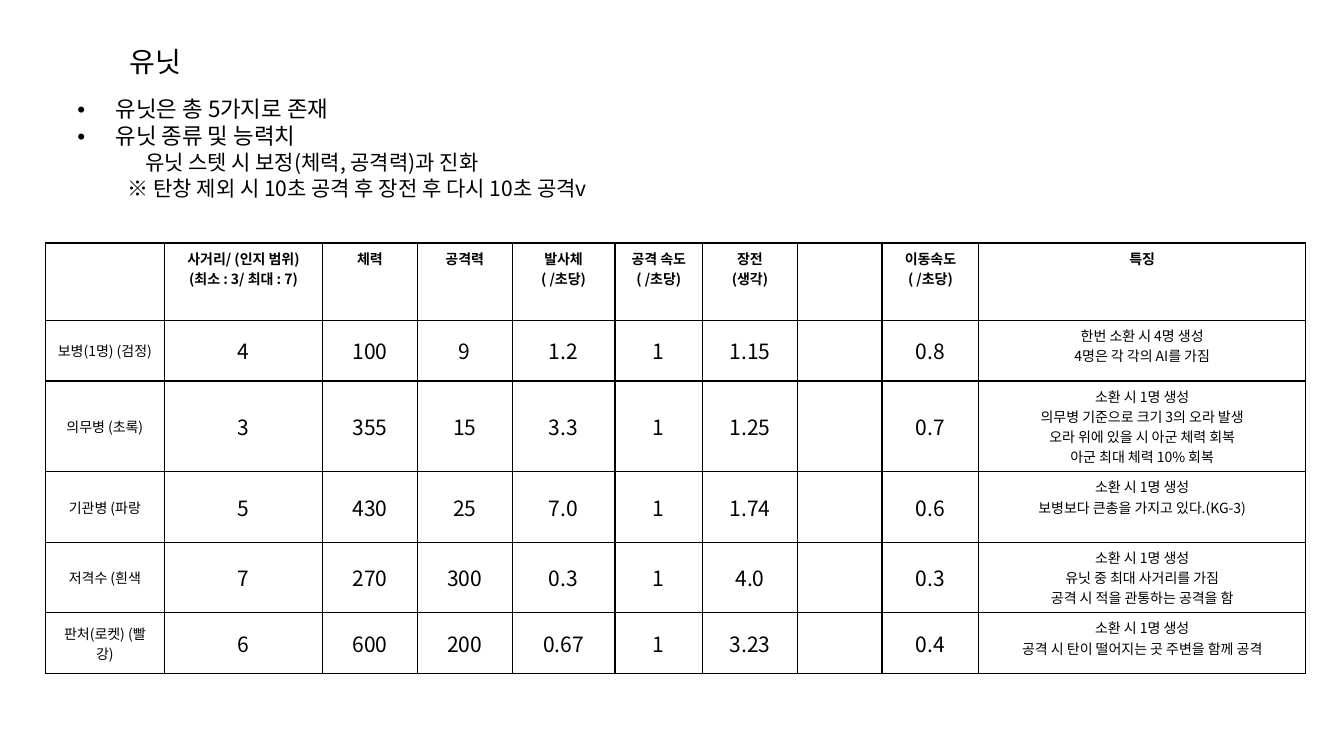
import pptx
import pptx.util
import pptx.dml.color
import pptx.enum.text
import pptx.oxml.ns
from lxml import etree

Inches = pptx.util.Inches
Pt = pptx.util.Pt
qn = pptx.oxml.ns.qn
ALIGN = pptx.enum.text.PP_ALIGN
ANCHOR = pptx.enum.text.MSO_ANCHOR

BLACK = pptx.dml.color.RGBColor(0x00, 0x00, 0x00)
WHITE = pptx.dml.color.RGBColor(0xFF, 0xFF, 0xFF)
FONT = "Noto Sans CJK KR"

# Text, size, left margin, first-line indent, bullet
RULES = [
    ("유닛은 총 5가지로 존재", 16, 0.38, -0.38, True),
    ("유닛 종류 및 능력치", 16, 0.38, -0.38, True),
    ("유닛 스텟 시 보정(체력, 공격력)과 진화", 15, 0.67, 0, False),
    ("※ 탄창 제외 시 10초 공격 후 장전 후 다시 10초 공격v", 15, 0.5, 0, False),
]

COLUMN_WIDTHS = [1.18, 1.57, 0.94, 0.94, 1.02, 0.87, 0.94, 0.84, 0.96, 3.24]
ROW_HEIGHTS = [0.77, 0.6, 0.9, 0.7, 0.7, 0.6]
HEADINGS = ["", "사거리/ (인지 범위)\n(최소 : 3/ 최대 : 7)", "체력", "공격력",
            "발사체\n( /초당)", "공격 속도\n( /초당)", "장전\n(생각)", "",
            "이동속도\n( /초당)", "특징"]
UNITS = [
    ["보병(1명) (검정)", "4", "100", "9", "1.2", "1", "1.15", "", "0.8",
     "한번 소환 시 4명 생성\n4명은 각 각의 AI를 가짐"],
    ["의무병 (초록)", "3", "355", "15", "3.3", "1", "1.25", "", "0.7",
     "소환 시 1명 생성\n의무병 기준으로 크기 3의 오라 발생\n"
     "오라 위에 있을 시 아군 체력 회복\n아군 최대 체력 10% 회복"],
    ["기관병 (파랑", "5", "430", "25", "7.0", "1", "1.74", "", "0.6",
     "소환 시 1명 생성\n보병보다 큰총을 가지고 있다.(KG-3)"],
    ["저격수 (흰색", "7", "270", "300", "0.3", "1", "4.0", "", "0.3",
     "소환 시 1명 생성\n유닛 중 최대 사거리를 가짐\n공격 시 적을 관통하는 공격을 함"],
    ["판처(로켓) (빨강)", "6", "600", "200", "0.67", "1", "3.23", "", "0.4",
     "소환 시 1명 생성\n공격 시 탄이 떨어지는 곳 주변을 함께 공격"],
]


def add_span(para, text, size, bold=False):
    span = para.add_run()
    span.text = text
    span.font.size = Pt(size)
    span.font.bold = bold
    span.font.color.rgb = BLACK
    span.font.name = FONT
    # East Asian typeface
    etree.SubElement(span.font._element, qn("a:ea"), typeface=FONT)


def next_para(frame, index):
    return frame.paragraphs[0] if index == 0 else frame.add_paragraph()


def add_box(page, left, top, width, height):
    box = page.shapes.add_textbox(Inches(left), Inches(top), Inches(width), Inches(height))
    box.text_frame.word_wrap = True
    return box.text_frame


def add_title(page):
    frame = add_box(page, 0.67, 0.3, 1.75, 0.62)
    frame.vertical_anchor = ANCHOR.MIDDLE
    para = frame.paragraphs[0]
    para.alignment = ALIGN.CENTER
    add_span(para, "유닛", 20)


def add_rules(page):
    frame = add_box(page, 0.67, 0.93, 12, 5.77)
    for index, (text, size, margin, indent, bullet) in enumerate(RULES):
        para = next_para(frame, index)
        para.line_spacing = 0.9
        para.space_before = Pt(2)
        properties = para._p.get_or_add_pPr()
        properties.set("marL", str(Inches(margin)))
        properties.set("indent", str(Inches(indent)))
        if bullet:
            etree.SubElement(properties, qn("a:buFont"), typeface="Arial")
            etree.SubElement(properties, qn("a:buChar"), char="•")
        add_span(para, text, size)


def add_borders(cell):
    properties = cell._tc.get_or_add_tcPr()
    for side in ("lnL", "lnR", "lnT", "lnB"):
        line = etree.SubElement(properties, qn("a:" + side), w=str(Pt(1)))
        fill = etree.SubElement(line, qn("a:solidFill"))
        etree.SubElement(fill, qn("a:srgbClr"), val=str(BLACK))


def fill_cell(cell, text, size, bold, anchor):
    add_borders(cell)
    cell.fill.solid()
    cell.fill.fore_color.rgb = WHITE
    cell.vertical_anchor = anchor
    if not text:
        return
    for index, line in enumerate(text.split("\n")):
        para = next_para(cell.text_frame, index)
        para.alignment = ALIGN.CENTER
        add_span(para, line, size, bold)


def add_unit_table(page):
    rows = [HEADINGS] + UNITS
    last = len(HEADINGS) - 1
    table = page.shapes.add_table(
        len(rows), len(HEADINGS), Inches(0.45), Inches(2.41),
        Inches(sum(COLUMN_WIDTHS)), Inches(sum(ROW_HEIGHTS))).table
    for column, width in zip(table.columns, COLUMN_WIDTHS):
        column.width = Inches(width)
    for row, height in zip(table.rows, ROW_HEIGHTS):
        row.height = Inches(height)
    for r, texts in enumerate(rows):
        for c, text in enumerate(texts):
            heading = r == 0
            size = 10 if heading or c in (0, last) else 15
            anchor = ANCHOR.TOP if heading or c == last else ANCHOR.MIDDLE
            fill_cell(table.cell(r, c), text, size, heading, anchor)


def main():
    deck = pptx.Presentation()
    deck.slide_width = Inches(13.33)
    deck.slide_height = Inches(7.5)
    page = deck.slides.add_slide(deck.slide_layouts[6])

    # Heading and rules above the table
    add_title(page)
    add_rules(page)

    # Unit abilities
    add_unit_table(page)
    deck.save("out.pptx")


if __name__ == "__main__":
    main()
